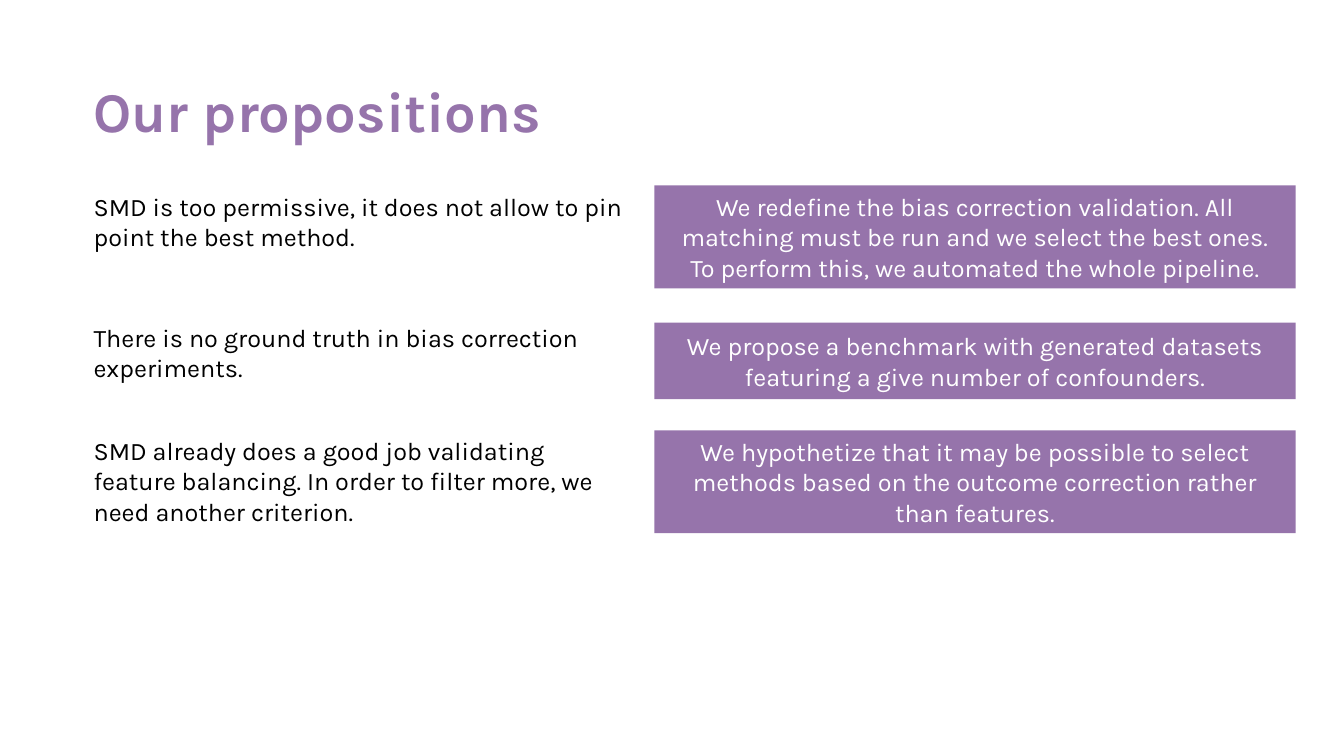
"""Build the slide that sets each problem beside its proposition."""
from pptx import Presentation
from pptx.dml.color import RGBColor
from pptx.enum.shapes import MSO_SHAPE as Shape
from pptx.enum.text import MSO_ANCHOR as Anchor, PP_ALIGN as Align
from pptx.util import Inches, Pt

TITLE = "Our propositions"
ROWS = [
    {
        "problem": "SMD is too permissive, it does not allow to pin point the best method.",
        "problem_at": (1.85, 5.83),
        "answer": [
            "We redefine the bias correction validation. All matching must be run and we select the best ones.",
            "To perform this, we automated the whole pipeline.",
        ],
        "answer_at": (1.84, 1.02),
    },
    {
        "problem": "There is no ground truth in bias correction experiments.",
        "problem_at": (3.15, 5.83),
        "answer": ["We propose a benchmark with generated datasets featuring a give number of confounders."],
        "answer_at": (3.2, 0.76),
    },
    {
        "problem": "SMD already does a good job validating feature balancing. "
                   "In order to filter more, we need another criterion.",
        "problem_at": (4.27, 5.33),
        "answer": ["We hypothetize that it may be possible to select methods based on the outcome "
                   "correction rather than features."],
        "answer_at": (4.27, 1.02),
    },
]
FONT = "Karla"
PURPLE, BLACK, WHITE = "9674AB", "000000", "FFFFFF"
LEFT, ANSWER_LEFT, ANSWER_WIDTH, PROBLEM_HEIGHT = 0.83, 6.49, 6.36, 0.8


def color(value):
    return RGBColor.from_string(value)


def write(shape, lines, size=18, ink=BLACK, bold=False, align=Align.LEFT,
          anchor=Anchor.TOP, before=0, spacing=1.0):
    frame = shape.text_frame
    frame.word_wrap = True
    frame.vertical_anchor = anchor
    for index, line in enumerate(lines):
        para = frame.add_paragraph() if index else frame.paragraphs[0]
        para.alignment = align
        para.space_before = Pt(before)
        para.line_spacing = spacing
        span = para.add_run()
        span.text = line
        span.font.name = FONT
        span.font.size = Pt(size)
        span.font.bold = bold
        span.font.color.rgb = color(ink)


def add_text(page, place, text, **style):
    box = page.shapes.add_textbox(*map(Inches, place))
    write(box, [text], before=10, **style)


def add_answer(page, place, lines):
    box = page.shapes.add_shape(Shape.RECTANGLE, *map(Inches, place))
    box.shadow.inherit = False
    box.fill.solid()
    box.fill.fore_color.rgb = color(PURPLE)
    box.line.fill.background()
    write(box, lines, ink=WHITE, align=Align.CENTER, anchor=Anchor.MIDDLE)


def main():
    deck = Presentation()
    deck.slide_width, deck.slide_height = Inches(13.33), Inches(7.5)
    page = deck.slides.add_slide(deck.slide_layouts[6])
    add_text(page, (LEFT, 0.78, 11.58, 0.71), TITLE, size=40, ink=PURPLE,
             bold=True, anchor=Anchor.MIDDLE, spacing=0.9)
    for row in ROWS:
        top, width = row["problem_at"]
        add_text(page, (LEFT, top, width, PROBLEM_HEIGHT), row["problem"])
        top, height = row["answer_at"]
        add_answer(page, (ANSWER_LEFT, top, ANSWER_WIDTH, height), row["answer"])
    deck.save("out.pptx")


if __name__ == "__main__":
    main()
